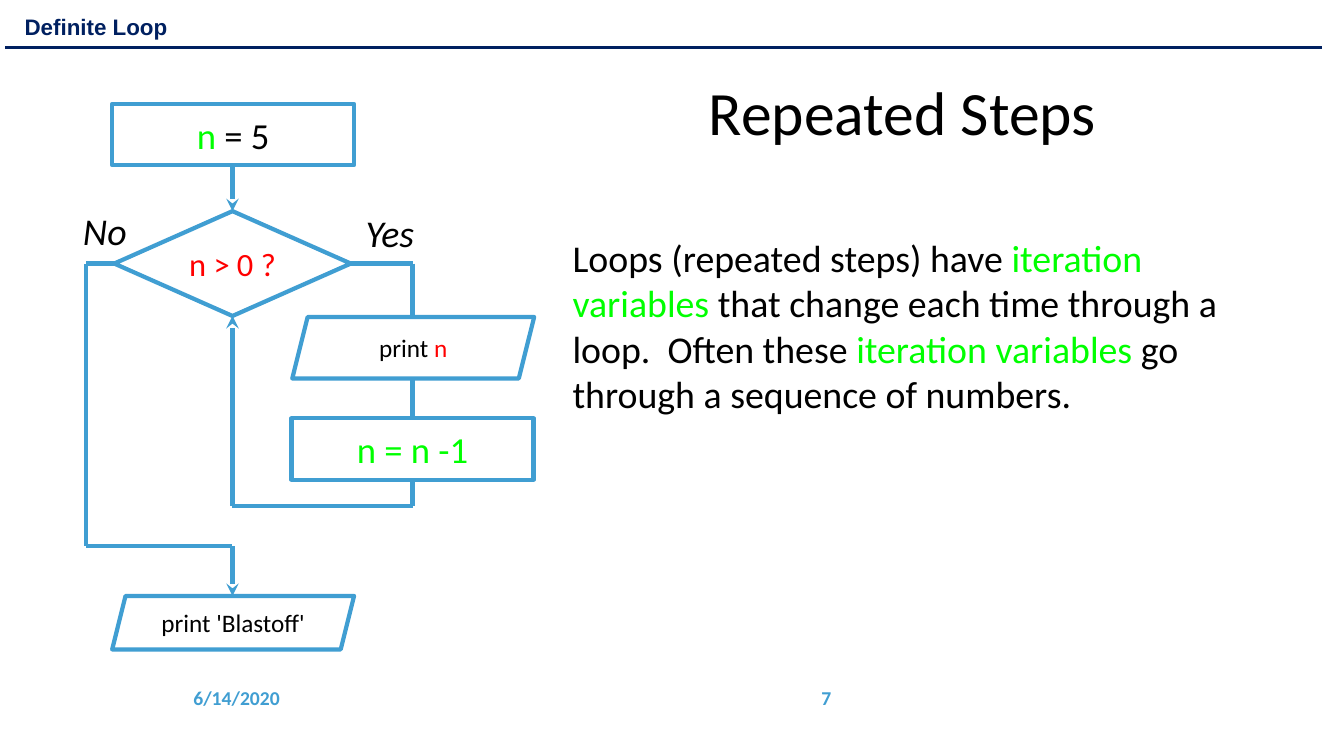
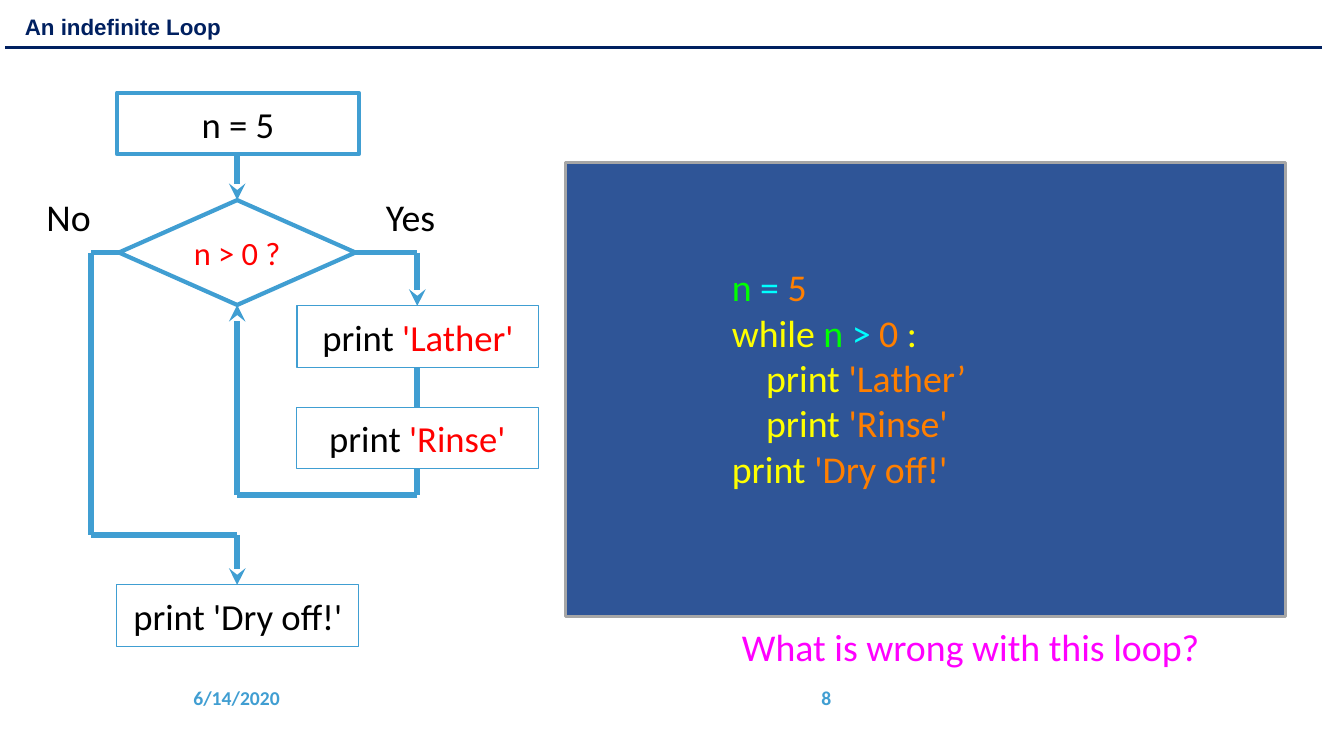
import dataclasses
import itertools

import pptx
import pptx.dml.color
import pptx.enum.shapes
import pptx.enum.text
import pptx.oxml.ns
import pptx.oxml.xmlchemy
import pptx.util
import lxml.etree

SHAPE = pptx.enum.shapes.MSO_SHAPE
ALIGN = pptx.enum.text.PP_ALIGN
ANCHOR = pptx.enum.text.MSO_ANCHOR


@dataclasses.dataclass(frozen=True)
class Theme:
    # Colours
    white: str = "FFFFFF"
    black: str = "000000"
    navy: str = "002060"
    blue: str = "409ED2"
    panel: str = "2F5597"
    grey: str = "A6A6A6"
    red: str = "FF0000"
    green: str = "00FF00"
    cyan: str = "00FFFF"
    orange: str = "FF7F00"
    yellow: str = "FFFF00"
    magenta: str = "FF00FF"
    # Type
    font: str = "Calibri"
    header_font: str = "Arial"
    title_size: float = 44
    body_size: float = 27
    step_size: float = 26.2
    test_size: float = 23.2
    print_size: float = 18
    header_size: float = 16
    footer_size: float = 14


THEME = Theme()

# The slide is a grid of 100 columns by 100 rows
WIDTH, HEIGHT = pptx.util.Inches(13.33), pptx.util.Inches(7.5)


def columns(count):
    return round(WIDTH * count / 100)


def rows(count):
    return round(HEIGHT * count / 100)


def area(left, top, width, height):
    return columns(left), rows(top), columns(width), rows(height)


def colour(code):
    return pptx.dml.color.RGBColor.from_string(code)


# Text: a line is a list of (words, colour) spans
def write(box, lines, size, font=THEME.font, bold=False, italic=False,
          align=ALIGN.LEFT, anchor=ANCHOR.MIDDLE, wrap=True, inset=0, spacing=1.0):
    frame = box.text_frame
    frame.auto_size = pptx.enum.text.MSO_AUTO_SIZE.NONE
    frame.word_wrap = wrap
    frame.vertical_anchor = anchor
    frame.margin_left = frame.margin_right = pptx.util.Inches(inset)
    frame.margin_top = frame.margin_bottom = pptx.util.Inches(inset / 2)
    for number, line in enumerate(lines):
        para = frame.add_paragraph() if number else frame.paragraphs[0]
        para.alignment = align
        para.line_spacing = spacing
        para.space_before = pptx.util.Pt(0)
        para.font.name = font
        para.font.size = pptx.util.Pt(size)
        para.font.bold = bold
        para.font.italic = italic
        for words, code in line:
            span = para.add_run()
            span.text = words
            span.font.color.rgb = colour(code)


def indent(para, width):
    properties = para._p.get_or_add_pPr()
    properties.set("marL", str(width))
    properties.set("indent", "0")
    return properties


def remove_bullet(para):
    properties = indent(para, 0)
    bullet = lxml.etree.Element(pptx.oxml.ns.qn("a:buNone"))
    properties.find(pptx.oxml.ns.qn("a:defRPr")).addprevious(bullet)


def add_text(page, place, lines, size, **style):
    box = page.shapes.add_textbox(*area(*place))
    write(box, lines, size, **style)
    return box


def fill_placeholder(box, place, lines, size, **style):
    box.left, box.top, box.width, box.height = area(*place)
    write(box, lines, size, **style)


# Shapes and lines
def add_box(page, kind, place, line=THEME.blue, weight=3, fill=THEME.white):
    box = page.shapes.add_shape(kind, *area(*place))
    box.shadow.inherit = False
    box.fill.solid()
    box.fill.fore_color.rgb = colour(fill)
    box.line.color.rgb = colour(line)
    box.line.width = pptx.util.Pt(weight)
    return box


def add_line(page, start, end, weight, code=THEME.blue, arrow=False):
    line = page.shapes.add_connector(
        pptx.enum.shapes.MSO_CONNECTOR.STRAIGHT,
        columns(start[0]), rows(start[1]), columns(end[0]), rows(end[1]))
    line.line.color.rgb = colour(code)
    line.line.width = pptx.util.Pt(weight)
    if arrow:
        lxml.etree.SubElement(line.line._get_or_add_ln(),
                              pptx.oxml.ns.qn("a:tailEnd"), type="stealth")
    lxml.etree.SubElement(line._element.spPr, pptx.oxml.ns.qn("a:effectLst"))


# Parts found on every slide
HEADER_AREA = (1.1, 1.33, 67.8, 4.67)
HEADER_STYLE = dict(size=THEME.header_size, font=THEME.header_font, bold=True,
                    anchor=ANCHOR.BOTTOM, inset=0.1, spacing=0.9)


def add_frame(page, number):
    add_line(page, (0.4, 6.27), (98.4, 6.27), 2.25, THEME.navy)
    footers = [((13.65, 89.6, 10.35, 5.33), "6/14/2020", ALIGN.LEFT),
               ((39.9, 89.6, 22.7, 5.33), str(number), ALIGN.RIGHT)]
    for place, words, align in footers:
        add_text(page, place, [[(words, THEME.blue)]], THEME.footer_size,
                 bold=True, align=align, inset=0.1)


@dataclasses.dataclass(frozen=True)
class Step:
    spans: list
    kind: int = SHAPE.RECTANGLE
    size: float = THEME.step_size
    weight: float = 3
    height: float = 8.13


# Flowchart of a loop: start, test, two repeated steps, finish
def add_flowchart(page, left, top, steps, weight, enter_arrow):
    wide, middle, repeat, leave = 18, 8.95, 22.35, -1.95
    test_top, test_height = 14.2, 13.87
    branch = test_top + test_height / 2
    first, second, finish = 28.2, 41.6, 65.1
    back, out = 53.2, 58.5
    routes = [
        ([(middle, 8.13), (middle, test_top)], True),
        ([(17.7, branch), (repeat, branch), (repeat, first)], enter_arrow),
        ([(repeat, first), (repeat, back), (middle, back),
          (middle, test_top + test_height)], True),
        ([(0.3, branch), (leave, branch), (leave, out),
          (middle, out), (middle, finish)], True),
    ]
    for points, arrow in routes:
        for start, end in itertools.pairwise(points):
            add_line(page, (left + start[0], top + start[1]),
                     (left + end[0], top + end[1]), weight,
                     arrow=arrow and end == points[-1])

    test = add_box(page, SHAPE.DIAMOND,
                   (left + 0.15, top + test_top, 17.6, test_height))
    write(test, [[("n > 0 ?", THEME.red)]], THEME.test_size, align=ALIGN.CENTER)
    spots = [(0, 0), (13.4, first), (13.35, second), (0, finish)]
    for (across, down), step in zip(spots, steps):
        box = add_box(page, step.kind,
                      (left + across, top + down, wide, step.height),
                      weight=step.weight)
        write(box, [step.spans], step.size, align=ALIGN.CENTER)


def add_branch_labels(page, no_spot, yes_spot, italic=False):
    for words, spot, width in (("No", no_spot, 3.3), ("Yes", yes_spot, 3.7)):
        add_text(page, (*spot, width, 6), [[(words, THEME.black)]], THEME.body_size,
                 italic=italic, align=ALIGN.CENTER, wrap=False)


def build_definite_loop(deck):
    page = deck.slides.add_slide(deck.slide_layouts[1])
    black, green = THEME.black, THEME.green
    fill_placeholder(page.shapes.title, (52, 2.67, 48, 25.2),
                     [[("Repeated Steps", black)]], THEME.title_size,
                     inset=0.1, spacing=0.9)
    body = page.placeholders[1]
    fill_placeholder(body, (42.6, 24.27, 52.9, 37.6), [[
        ("Loops (repeated steps) have ", black),
        ("iteration variables ", green),
        ("that change each time through a loop.  Often these ", black),
        ("iteration variables ", green),
        ("go through a sequence of numbers.", black)]], THEME.body_size)
    remove_bullet(body.text_frame.paragraphs[0])
    add_text(page, HEADER_AREA, [[("Definite Loop", THEME.navy)]], **HEADER_STYLE)
    add_frame(page, 7)

    slanted = dict(kind=SHAPE.PARALLELOGRAM, size=THEME.print_size)
    add_flowchart(page, 8.35, 13.73, [
        Step([("n", green), (" = 5", black)]),
        Step([("print ", black), ("n", THEME.red)], **slanted),
        Step([("n = n -1", green)]),
        Step([("print 'Blastoff'", black)], height=7.07, **slanted),
    ], weight=3, enter_arrow=False)
    add_branch_labels(page, (6.15, 27.5), (27.15, 27.7), italic=True)


def build_indefinite_loop(deck):
    page = deck.slides.add_slide(deck.slide_layouts[5])
    black, red = THEME.black, THEME.red
    green, cyan, orange, yellow = THEME.green, THEME.cyan, THEME.orange, THEME.yellow
    fill_placeholder(page.shapes.title, HEADER_AREA,
                     [[("An indefinite Loop", THEME.navy)]], **HEADER_STYLE)
    add_frame(page, 8)

    # Program listing
    add_box(page, SHAPE.RECTANGLE, (42.1, 21.5, 53.55, 60.1),
            line=THEME.grey, weight=2.25, fill=THEME.panel)
    code = add_text(page, (54.45, 34.8, 25, 30.27), [
        [("n ", green), ("= ", cyan), ("5", orange)],
        [("while ", yellow), ("n ", green), ("> ", cyan), ("0", orange), (" :", yellow)],
        [("print ", yellow), ("'Lather’", orange)],
        [("print ", yellow), ("'Rinse'", orange)],
        [("print ", yellow), ("'Dry off!'", orange)]], THEME.body_size)
    for para in code.text_frame.paragraphs[2:4]:
        indent(para, columns(2.55))
    add_text(page, (55.2, 82.5, 37.5, 6),
             [[("What is wrong with this loop?", THEME.magenta)]], THEME.body_size)

    add_flowchart(page, 8.7, 12.27, [
        Step([("n = 5", black)]),
        Step([("print ", black), ("'Lather'", red)], weight=0.75),
        Step([("print ", black), ("'Rinse'", red)], weight=0.75),
        Step([("print 'Dry off!'", black)], weight=0.75),
    ], weight=4, enter_arrow=True)
    add_branch_labels(page, (3.45, 25.6), (28.7, 25.6))


def main():
    deck = pptx.Presentation()
    deck.slide_width, deck.slide_height = WIDTH, HEIGHT
    build_definite_loop(deck)
    build_indefinite_loop(deck)
    deck.save("out.pptx")


main()
